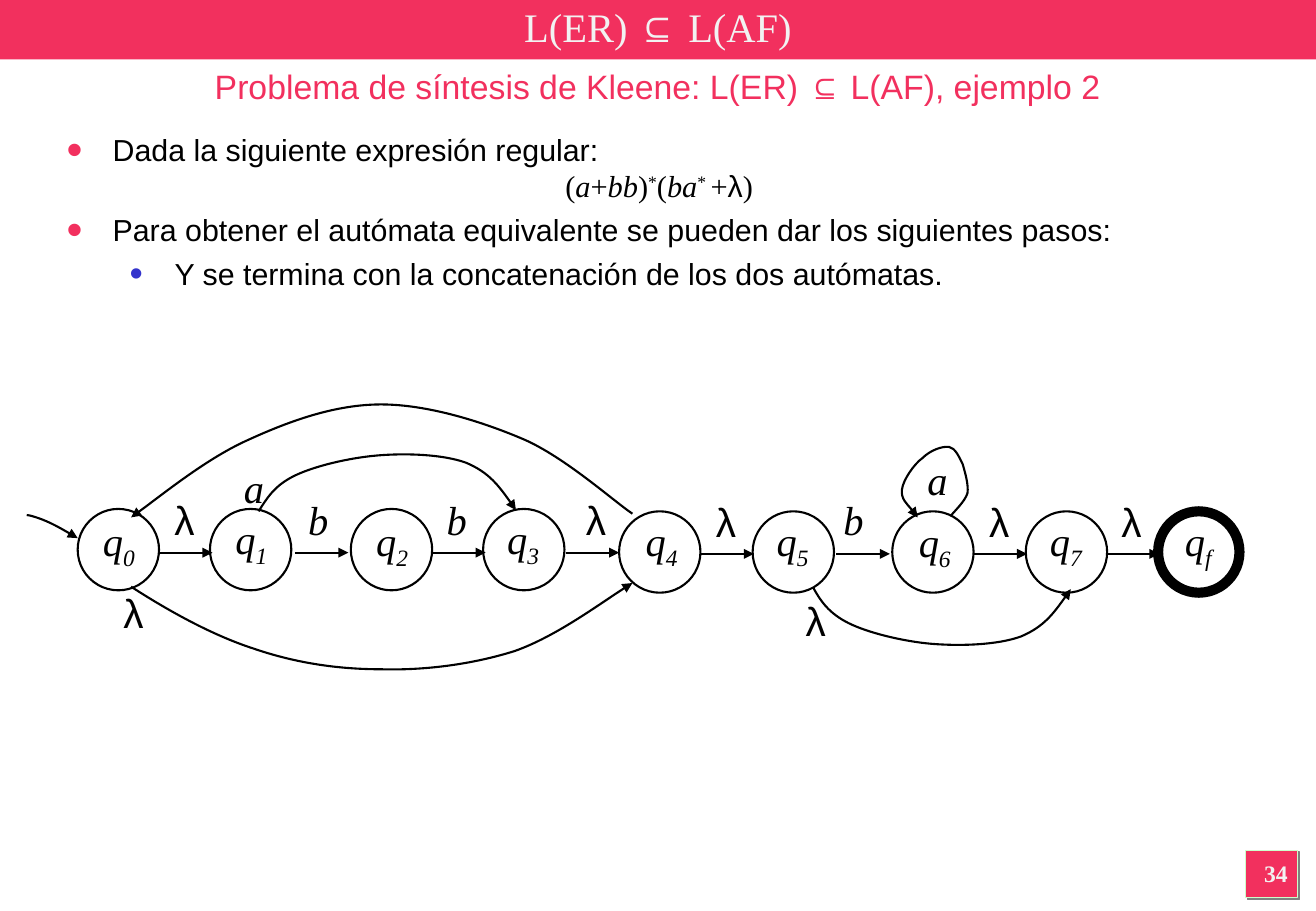
from lxml import etree
from pptx import Presentation
from pptx.dml.color import RGBColor
from pptx.enum.shapes import MSO_CONNECTOR, MSO_SHAPE
from pptx.enum.text import MSO_ANCHOR, MSO_AUTO_SIZE, PP_ALIGN
from pptx.oxml.ns import qn
from pptx.util import Inches, Pt

RECTANGLE, OVAL = MSO_SHAPE.RECTANGLE, MSO_SHAPE.OVAL
STRAIGHT = MSO_CONNECTOR.STRAIGHT
CENTER, LEFT = PP_ALIGN.CENTER, PP_ALIGN.LEFT
MIDDLE, TOP = MSO_ANCHOR.MIDDLE, MSO_ANCHOR.TOP
NO_FIT, GROW = MSO_AUTO_SIZE.NONE, MSO_AUTO_SIZE.SHAPE_TO_FIT_TEXT
COLORS = {"red": "F2305E", "blue": "3333CC", "black": "000000",
          "light": "F2F2F2", "green": "CCFFCC", "gray": "808080"}
SANS, SERIF = "Arial", "Times New Roman"

# Automaton, in inches from the diagram's corner
CIRCLE, ARROW_LENGTH, LINE_WIDTH = 0.67, 0.44, 1.25
# subscript, circle left, circle top, label left, label top, label width, line width
STATES = [("0", 0.42, 0.86, 0.53, 0.87, 0.46, LINE_WIDTH),
          ("1", 1.51, 0.86, 1.62, 0.85, 0.46, LINE_WIDTH),
          ("2", 2.67, 0.86, 2.78, 0.87, 0.46, LINE_WIDTH),
          ("3", 3.76, 0.86, 3.86, 0.85, 0.46, LINE_WIDTH),
          ("4", 4.88, 0.88, 5.00, 0.87, 0.46, LINE_WIDTH),
          ("5", 5.98, 0.88, 6.08, 0.87, 0.46, LINE_WIDTH),
          ("6", 7.13, 0.88, 7.25, 0.88, 0.46, LINE_WIDTH),
          ("7", 8.23, 0.88, 8.33, 0.87, 0.46, LINE_WIDTH),
          ("f", 9.32, 0.88, 9.44, 0.87, 0.42, 6)]
# arrow start x, arrow y
ARROWS = [(1.09, 1.22), (2.21, 1.22), (3.34, 1.22), (4.44, 1.22),
          (5.55, 1.23), (6.67, 1.23), (7.80, 1.23), (8.89, 1.23)]
# symbol, left, top
SYMBOLS = [("λ", 1.11, 0.70), ("b", 2.22, 0.70), ("b", 3.36, 0.70),
           ("λ", 4.50, 0.70), ("λ", 5.57, 0.71), ("b", 6.63, 0.70),
           ("λ", 7.82, 0.71), ("λ", 8.91, 0.71), ("a", 7.32, 0.37),
           ("a", 1.69, 0.43), ("λ", 0.69, 1.46), ("λ", 6.31, 1.53)]
# start point, then three Bézier points for each stretch
CURVES = [
    # entry into q0
    [(0, 0.91), (0.02, 0.91), (0.09, 0.93), (0.16, 0.96),
     (0.23, 0.99), (0.37, 1.07), (0.42, 1.10)],
    # q6 to itself
    [(7.61, 0.92), (7.63, 0.89), (7.73, 0.80), (7.75, 0.73),
     (7.76, 0.66), (7.73, 0.56), (7.71, 0.49), (7.68, 0.43), (7.65, 0.36),
     (7.60, 0.35), (7.54, 0.34), (7.44, 0.38), (7.38, 0.44), (7.31, 0.49),
     (7.22, 0.62), (7.21, 0.70), (7.20, 0.78), (7.31, 0.88), (7.34, 0.93)],
    # q1 to q3
    [(1.91, 0.88), (1.98, 0.77), (2.04, 0.67), (2.20, 0.59),
     (2.36, 0.51), (2.65, 0.44), (2.89, 0.42), (3.12, 0.40), (3.43, 0.41),
     (3.62, 0.48), (3.81, 0.56), (3.92, 0.71), (4.03, 0.87)],
    # q0 to q4
    [(0.86, 1.50), (1.17, 1.70), (1.53, 1.90), (1.87, 2.01),
     (2.22, 2.13), (2.57, 2.18), (2.92, 2.18), (3.28, 2.19), (3.67, 2.14),
     (4.02, 2.03), (4.36, 1.91), (4.79, 1.59), (4.99, 1.47)],
    # q4 back to q0
    [(4.99, 0.90), (4.84, 0.80), (4.44, 0.44), (4.10, 0.29),
     (3.75, 0.14), (3.30, 0), (2.92, 0), (2.55, 0), (2.18, 0.13),
     (1.83, 0.29), (1.49, 0.44), (1.06, 0.79), (0.86, 0.93)],
    # q5 to q7
    [(6.48, 1.51), (6.54, 1.62), (6.61, 1.72), (6.77, 1.80),
     (6.93, 1.88), (7.22, 1.95), (7.45, 1.97), (7.69, 1.99), (8.00, 1.98),
     (8.19, 1.91), (8.38, 1.83), (8.49, 1.68), (8.60, 1.52)],
]


def color(name):
    return RGBColor.from_string(COLORS[name])


def set_text(paragraph, runs, size, font, color_name="black", align=CENTER, bold=None):
    """Each run is (text, options); options are font, italic and baseline."""
    paragraph.alignment = align
    paragraph.font.size = Pt(size)
    paragraph.font.color.rgb = color(color_name)
    paragraph.font.name = font
    paragraph.font.bold = bold
    for text, options in runs:
        run = paragraph.add_run()
        run.text = text
        if "font" in options:
            run.font.name = options["font"]
        if "italic" in options:
            run.font.italic = True
        if "baseline" in options:
            run._r.get_or_add_rPr().set("baseline", str(options["baseline"] * 1000))


def set_frame(shape, wrap=True, fit=NO_FIT, anchor=TOP):
    frame = shape.text_frame
    frame.word_wrap, frame.auto_size, frame.vertical_anchor = wrap, fit, anchor
    return frame


def add_text(slide, box, runs, size, font, color_name="black", wrap=True, fit=NO_FIT, bold=None):
    shape = slide.shapes.add_textbox(*map(Inches, box))
    frame = set_frame(shape, wrap, fit)
    set_text(frame.paragraphs[0], runs, size, font, color_name, bold=bold)


def add_bar(slide, box):
    bar = slide.shapes.add_shape(RECTANGLE, *map(Inches, box))
    bar.shadow.inherit = False
    bar.fill.solid()
    bar.fill.fore_color.rgb = color("red")
    bar.line.fill.background()
    return bar


def finish_line(shape, arrow=True, width=LINE_WIDTH):
    shape.line.color.rgb = color("black")
    shape.line.width = Pt(width)
    properties = shape._element.spPr
    if arrow:
        etree.SubElement(properties.find(qn("a:ln")), qn("a:tailEnd"), type="triangle")
    if properties.find(qn("a:effectLst")) is None:
        etree.SubElement(properties, qn("a:effectLst"))


def add_curve(slide, points):
    start, *others = [(Inches(x), Inches(y)) for x, y in points]
    builder = slide.shapes.build_freeform(*start, scale=1.0)
    builder.add_line_segments(others, close=False)
    curve = builder.convert_to_shape()
    curve.fill.background()
    # Every three points become one Bézier stretch
    lines = list(curve._element.iter(qn("a:lnTo")))
    for index in range(0, len(lines), 3):
        stretch = etree.Element(qn("a:cubicBezTo"))
        lines[index].addprevious(stretch)
        for line in lines[index:index + 3]:
            stretch.append(line[0])
            line.getparent().remove(line)
    finish_line(curve)


def add_header(slide, left, top, width):
    bar = add_bar(slide, (left, top, width, 0.49))
    slide.shapes._spTree.insert(2, bar._element)
    title = slide.shapes.title
    title.left, title.top, title.width, title.height = map(Inches, (left, top, width, 0.44))
    frame = set_frame(title, anchor=MIDDLE)
    set_text(frame.paragraphs[0], [("L(ER) ", {}), ("⊆", {"font": SANS}), (" L(AF)", {})],
             24, SERIF, "light")
    add_text(slide, (left, top + 0.49, width, 0.44),
             [("Problema de síntesis de Kleene: L(ER) ⊆ L(AF), ejemplo 2", {})],
             20, SANS, "red", fit=GROW)


def add_body(slide, box):
    italic, above = {"italic": True}, {"baseline": 30}
    formula = [("(", {}), ("a", italic), ("+", {}), ("bb", italic), (")", {}), ("*", above),
               ("(", {}), ("ba", italic), ("* ", above), ("+", {}),
               ("λ", {"font": SANS}), (")", {})]
    # runs, font, alignment, margin, indent, space before, bullet colour, bullet size
    rows = [
        ([("Dada la siguiente expresión regular:", {})], SANS, LEFT, 0.38, -0.38, 0, "red", 150),
        (formula, SERIF, CENTER, 0.38, -0.38, 0, None, 0),
        ([("Para obtener el autómata equivalente se pueden dar los siguientes pasos:", {})],
         SANS, LEFT, 0.38, -0.38, 4.5, "red", 150),
        ([("Y se termina con la concatenación de los dos autómatas.", {})],
         SANS, LEFT, 0.89, -0.37, 4.5, "blue", 125)]
    frame = set_frame(slide.shapes.add_textbox(*map(Inches, box)))
    for index, (runs, font, align, margin, indent, before, bullet, percent) in enumerate(rows):
        paragraph = frame.add_paragraph() if index else frame.paragraphs[0]
        paragraph.space_before = Pt(before)
        properties = paragraph._p.get_or_add_pPr()
        properties.set("marL", str(Inches(margin)))
        properties.set("indent", str(Inches(indent)))
        if bullet:
            bullet_color = etree.SubElement(properties, qn("a:buClr"))
            etree.SubElement(bullet_color, qn("a:srgbClr"), val=COLORS[bullet])
            etree.SubElement(properties, qn("a:buSzPct"), val=str(percent * 1000))
            etree.SubElement(properties, qn("a:buFont"), typeface=SANS)
            etree.SubElement(properties, qn("a:buChar"), char="•")
        set_text(paragraph, runs, 18, font, align=align)


def add_automaton(slide, left, top):
    for subscript, x, y, label_x, label_y, label_width, line_width in STATES:
        circle = slide.shapes.add_shape(OVAL, *map(Inches, (left + x, top + y, CIRCLE, CIRCLE)))
        circle.fill.background()
        finish_line(circle, arrow=False, width=line_width)
        add_text(slide, (left + label_x, top + label_y, label_width, 0.56),
                 [("q", {"italic": True}), (subscript, {"italic": True, "baseline": -25})],
                 24, SERIF, wrap=False, fit=GROW)
    for x, y in ARROWS:
        ends = (left + x, top + y, left + x + ARROW_LENGTH, top + y)
        finish_line(slide.shapes.add_connector(STRAIGHT, *map(Inches, ends)))
    for points in CURVES:
        add_curve(slide, [(left + x, top + y) for x, y in points])
    for symbol, x, y in SYMBOLS:
        font, width, options = (SANS, 0.38, {}) if symbol == "λ" else (SERIF, 0.36, {"italic": True})
        add_text(slide, (left + x, top + y, width, 0.5), [(symbol, options)],
                 24, font, wrap=False, fit=GROW)


def add_page_number(slide, left, top):
    badge = add_bar(slide, (left, top, 0.43, 0.39))
    badge.line.color.rgb = color("green")
    badge.line.width = Pt(0.75)
    effects = badge._element.spPr.find(qn("a:effectLst"))
    shadow = etree.SubElement(effects, qn("a:outerShdw"), dist=str(Pt(1.4)), dir="2700000")
    etree.SubElement(shadow, qn("a:srgbClr"), val=COLORS["gray"])
    add_text(slide, (left - 0.02, top + 0.02, 0.54, 0.35), [("34", {})],
             14, SERIF, "light", bold=True)


def main():
    presentation = Presentation()
    presentation.slide_width, presentation.slide_height = Inches(10.84), Inches(7.5)
    slide = presentation.slides.add_slide(presentation.slide_layouts[5])
    add_header(slide, 0, 0, 10.84)
    add_body(slide, (0.45, 1.03, 9.96, 5.8))
    add_automaton(slide, 0.22, 3.33)
    add_page_number(slide, 10.26, 7)
    presentation.save("out.pptx")


if __name__ == "__main__":
    main()
